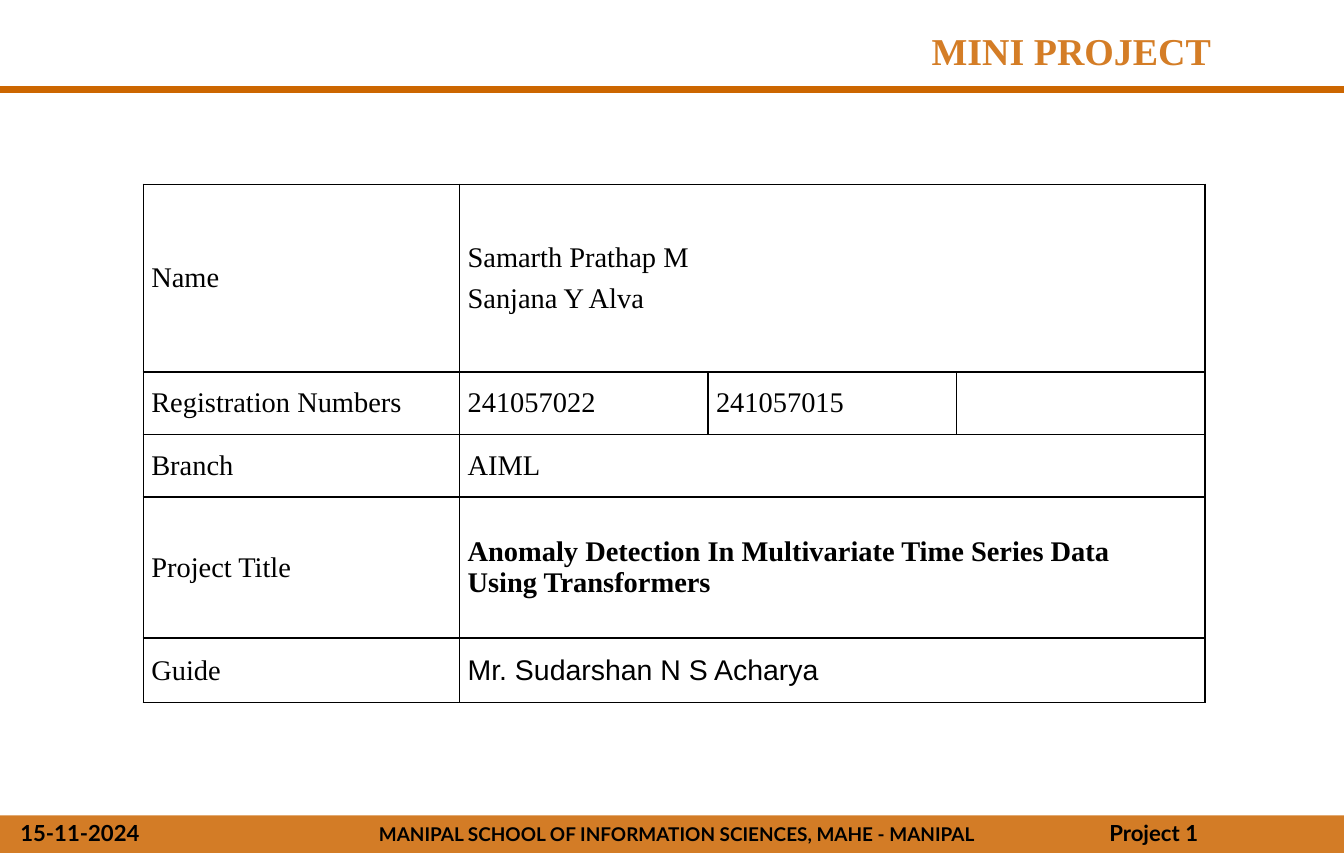
import lxml.etree
import pptx
import pptx.dml.color
import pptx.enum.shapes
import pptx.enum.text
import pptx.oxml.ns
import pptx.util

Inches = pptx.util.Inches
Pt = pptx.util.Pt
RGBColor = pptx.dml.color.RGBColor
Align = pptx.enum.text.PP_ALIGN
qn = pptx.oxml.ns.qn

BLACK = RGBColor(0x00, 0x00, 0x00)
ORANGE = RGBColor(0xCC, 0x66, 0x00)
TITLE_ORANGE = RGBColor(0xD4, 0x7D, 0x26)
SERIF = "Times New Roman"
SLIDE_WIDTH = pptx.util.Cm(30)
TABLE_WIDTH = 9.33
LABEL_WIDTH = 2.78
COLUMN_WIDTHS = [LABEL_WIDTH] + [(TABLE_WIDTH - LABEL_WIDTH) / 3] * 3
ROW_HEIGHTS = [1.65, 0.55, 0.55, 1.24, 0.57]
PROJECT_ROWS = [
    ("Name", ["Samarth Prathap M\nSanjana Y Alva"]),
    ("Registration Numbers", ["241057022", "241057015", ""]),
    ("Branch", ["AIML"]),
    ("Project Title", ["Anomaly Detection In Multivariate Time Series Data\nUsing Transformers"]),
    ("Guide", ["Mr. Sudarshan N S Acharya"]),
]


def set_font(paragraph, name, size, color=BLACK, bold=False):
    """Set the font of a whole paragraph."""
    font = paragraph.font
    font.name, font.size, font.bold = name, Pt(size), bold
    font.color.rgb = color


def add_rule(slide):
    """Draw the line under the heading."""
    rule = slide.shapes.add_connector(
        pptx.enum.shapes.MSO_CONNECTOR.STRAIGHT,
        Inches(0), Inches(0.79), SLIDE_WIDTH, Inches(0.79))
    rule.line.color.rgb = ORANGE
    rule.line.width = Pt(4.5)
    lxml.etree.SubElement(rule._element.spPr, qn("a:effectLst"))


def add_footer_band(slide):
    """Draw the slightly transparent band along the bottom edge."""
    band = slide.shapes.add_shape(
        pptx.enum.shapes.MSO_SHAPE.RECTANGLE,
        Inches(0), Inches(7.17), SLIDE_WIDTH, Inches(0.33))
    band.shadow.inherit = False
    band.fill.solid()
    band.fill.fore_color.rgb = ORANGE
    band.line.fill.background()
    color = band._element.spPr.find(qn("a:solidFill")).find(qn("a:srgbClr"))
    lxml.etree.SubElement(color, qn("a:alpha"), val="85000")


def add_label(slide, text, box, name, size, color=BLACK, align=Align.LEFT):
    """Add a bold single-line text box."""
    frame = slide.shapes.add_textbox(*map(Inches, box)).text_frame
    frame.word_wrap = True
    frame.auto_size = pptx.enum.text.MSO_AUTO_SIZE.SHAPE_TO_FIT_TEXT
    paragraph = frame.paragraphs[0]
    paragraph.text = text
    paragraph.alignment = align
    set_font(paragraph, name, size, color, bold=True)


def format_cell(cell):
    """Give a cell black borders, no fill and tight margins."""
    properties = cell._tc.get_or_add_tcPr()
    for side in ("lnL", "lnR", "lnT", "lnB"):
        border = lxml.etree.SubElement(properties, qn("a:" + side), w=str(Pt(1)))
        fill = lxml.etree.SubElement(border, qn("a:solidFill"))
        lxml.etree.SubElement(fill, qn("a:srgbClr"), val=str(BLACK))
    cell.fill.background()
    cell.margin_left = cell.margin_right = Inches(0.07)
    cell.margin_top = cell.margin_bottom = Inches(0)
    cell.vertical_anchor = pptx.enum.text.MSO_ANCHOR.MIDDLE


def fill_cell(cell, text, name=SERIF, bold=False, gap=6.2):
    """Write one paragraph per line of text into a cell."""
    cell.text = text
    for index, paragraph in enumerate(cell.text_frame.paragraphs):
        set_font(paragraph, name, 18, bold=bold)
        if index:
            paragraph.space_before = Pt(gap)


def add_project_table(slide):
    """Add the table of project details."""
    table = slide.shapes.add_table(
        len(ROW_HEIGHTS), len(COLUMN_WIDTHS), Inches(1.26), Inches(1.62),
        Inches(TABLE_WIDTH), Inches(sum(ROW_HEIGHTS))).table
    table.first_row = table.horz_banding = False
    for column, width in zip(table.columns, COLUMN_WIDTHS):
        column.width = Inches(width)
    for row, height in zip(table.rows, ROW_HEIGHTS):
        row.height = Inches(height)
    for cell in table.iter_cells():
        format_cell(cell)
    styles = {"Project Title": {"bold": True, "gap": 0}, "Guide": {"name": "Arial"}}
    for row, (label, values) in enumerate(PROJECT_ROWS):
        fill_cell(table.cell(row, 0), label)
        if len(values) == 1:
            table.cell(row, 1).merge(table.cell(row, 3))
        for column, value in enumerate(values, start=1):
            fill_cell(table.cell(row, column), value, **styles.get(label, {}))


def main():
    """Build the slide and save it."""
    presentation = pptx.Presentation()
    presentation.slide_width = SLIDE_WIDTH
    presentation.slide_height = Inches(7.5)
    slide = presentation.slides.add_slide(presentation.slide_layouts[6])
    add_rule(slide)
    add_footer_band(slide)
    add_label(slide, "MANIPAL SCHOOL OF INFORMATION SCIENCES, MAHE - MANIPAL",
              (2.85, 7.18, 6.2, 0.31), "Lato", 12, align=Align.CENTER)
    add_label(slide, "15-11-2024", (0.08, 7.16, 1.33, 0.34), "Lato", 14)
    add_label(slide, "Project 1", (9.65, 7.16, 2.15, 0.34), "Lato", 14)
    add_label(slide, "MINI PROJECT", (2.74, 0.19, 8, 0.51), SERIF, 24,
              TITLE_ORANGE, Align.RIGHT)
    add_project_table(slide)
    presentation.save("out.pptx")


if __name__ == "__main__":
    main()
